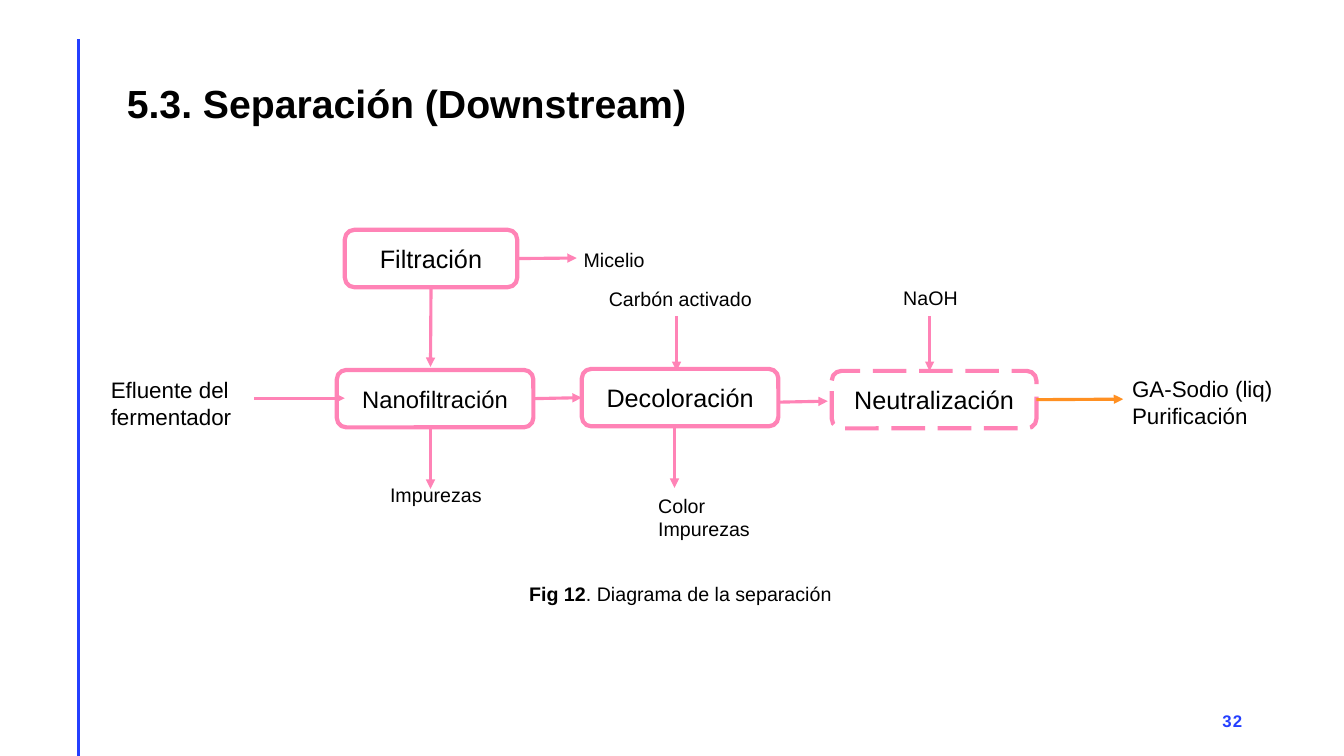
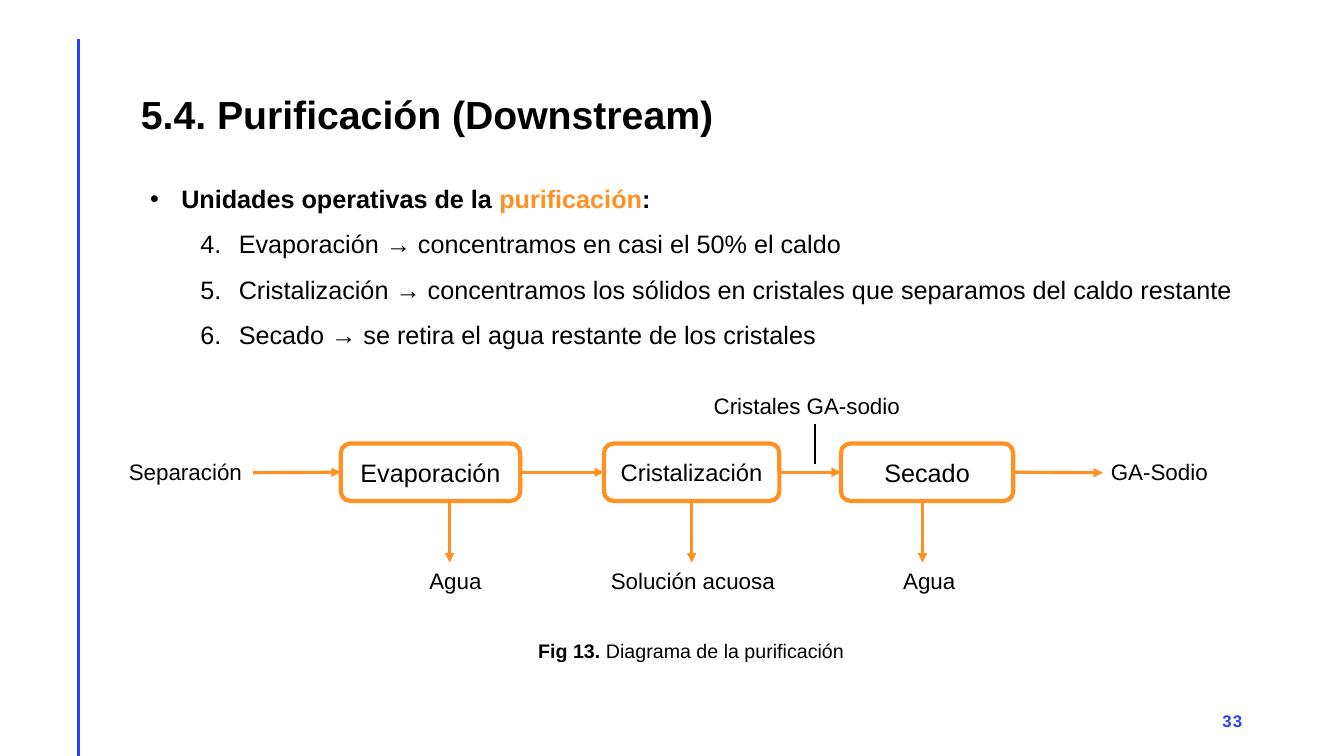
from dataclasses import dataclass

from lxml import etree
from pptx import Presentation
from pptx.dml.color import RGBColor
from pptx.enum import dml, shapes, text
from pptx.oxml import ns
from pptx.util import Inches, Pt

TOP, LEFT, BOTTOM, RIGHT = range(4)


@dataclass(frozen=True)
class Theme:
    font: str = "Arial"
    ink: str = "000000"
    paper: str = "FFFFFF"
    blue: str = "243FFF"
    pink: str = "FF83B6"
    orange: str = "FF9022"
    title: float = 28
    body: float = 18
    tight: float = 17
    label: float = 16
    note: float = 14
    number: float = 12
    rule_width: float = 2
    box_width: float = 3
    arrow_width: float = 2.25
    pointer_width: float = 1.5


THEME = Theme()


def rgb(value):
    return RGBColor.from_string(value)


def set_all(target, values):
    for name, value in values.items():
        setattr(target, name, value)


def add_child(parent, tag, **attributes):
    return etree.SubElement(parent, ns.qn(tag), attributes)


def add_span(para, words, size, color=THEME.ink, bold=False):
    span = para.add_run()
    span.text = words
    set_all(span.font, {"name": THEME.font, "size": Pt(size), "bold": bold})
    span.font.color.rgb = rgb(color)
    return span


def add_text(page, at, paragraphs, size, bold=False):
    """Add a text box; each paragraph is a string or a list of (words, format) spans."""
    frame = page.shapes.add_textbox(*map(Inches, at)).text_frame
    frame.word_wrap = True
    for index, spans in enumerate(paragraphs):
        para = frame.add_paragraph() if index else frame.paragraphs[0]
        if isinstance(spans, str):
            spans = [(spans, {"bold": bold})]
        for words, look in spans:
            add_span(para, words, size, **look)
    return frame


def add_labels(page, labels, size):
    for x, y, width, height, *lines in labels:
        add_text(page, (x, y, width, height), lines, size)


def add_caption(page, at, number, words):
    add_text(page, at, [[(number, {"bold": True}), (words, {})]], THEME.note)


def add_box(page, at, name, color, size=THEME.body, dash=None):
    box = page.shapes.add_shape(shapes.MSO_SHAPE.ROUNDED_RECTANGLE, *map(Inches, at))
    box.shadow.inherit = False
    box.fill.solid()
    box.fill.fore_color.rgb = rgb(THEME.paper)
    box.line.color.rgb = rgb(color)
    set_all(box.line, {"width": Pt(THEME.box_width), "dash_style": dash})
    set_all(box.text_frame, {"vertical_anchor": text.MSO_ANCHOR.MIDDLE,
                             "word_wrap": False})
    para = box.text_frame.paragraphs[0]
    para.alignment = text.PP_ALIGN.CENTER
    add_span(para, name, size)
    return box


def add_line(page, start, end, color, width):
    line = page.shapes.add_connector(
        shapes.MSO_CONNECTOR.STRAIGHT, *map(Inches, (*start, *end)))
    line.line.color.rgb = rgb(color)
    line.line.width = Pt(width)
    add_child(line._element.spPr, "a:effectLst")
    return line


def add_arrow(page, boxes, start, end, color):
    """Draw an arrow; an end is a point (x, y) or a joint (box name, side)."""
    def joint(place):
        return isinstance(place[0], str)

    points = [(0, 0) if joint(place) else place for place in (start, end)]
    arrow = add_line(page, *points, color, THEME.arrow_width)
    add_child(arrow.line._get_or_add_ln(), "a:tailEnd", type="triangle")
    for place, connect in ((start, arrow.begin_connect), (end, arrow.end_connect)):
        if joint(place):
            connect(boxes[place[0]], place[1])


def add_list_mark(para, margin, indent, mark=None, start=None):
    properties = para._p.get_or_add_pPr()
    properties.set("marL", str(Inches(margin)))
    properties.set("indent", str(Inches(indent)))
    if mark:
        add_child(properties, "a:buFont", typeface=THEME.font)
        add_child(properties, "a:buChar", char=mark)
    else:
        add_child(properties, "a:buFont", typeface="+mj-lt")
        add_child(properties, "a:buAutoNum", type="arabicPeriod", startAt=str(start))


def new_page(deck, number, title, title_at):
    page = deck.slides.add_slide(deck.slide_layouts[6])
    add_line(page, (0.78, 0.39), (0.78, 7.5), THEME.blue, THEME.rule_width)
    add_text(page, (*title_at, 7.26, 0.57), [title], THEME.title, bold=True)
    frame = add_text(page, (9.42, 6.95, 3, 0.4), [], THEME.number)
    frame.vertical_anchor = text.MSO_ANCHOR.MIDDLE
    para = frame.paragraphs[0]
    para.alignment = text.PP_ALIGN.RIGHT
    span = add_span(para, str(number), THEME.number, THEME.blue, True)
    span._r.get_or_add_rPr().set("spc", "100")
    return page


def add_separation_page(deck):
    page = new_page(deck, 32, "5.3. Separación (Downstream)", (1.16, 0.74))
    height = 0.57
    boxes = {
        name: add_box(page, (x, y, width, height), name, THEME.pink, size, dash)
        for name, x, y, width, size, dash in (
            ("Filtración", 3.42, 2.28, 1.71, THEME.body, None),
            ("Nanofiltración", 3.34, 3.67, 1.95, THEME.tight, None),
            ("Decoloración", 5.77, 3.66, 1.95, THEME.body, None),
            ("Neutralización", 8.25, 3.68, 2.03, THEME.body,
             dml.MSO_LINE.LONG_DASH),
        )
    }
    for start, end in (
        (("Filtración", BOTTOM), (4.27, 3.64)),
        (("Filtración", RIGHT), (5.72, 2.56)),
        ((2.52, 3.95), (3.42, 3.95)),
        (("Nanofiltración", RIGHT), ("Decoloración", LEFT)),
        ((7.72, 3.99), (8.21, 3.98)),
        ((6.71, 3.14), (6.71, 3.68)),
        ((9.22, 3.14), (9.22, 3.68)),
        ((4.27, 4.25), (4.27, 4.85)),
        ((6.69, 4.24), (6.69, 4.84)),
    ):
        add_arrow(page, boxes, start, end, THEME.pink)
    add_arrow(page, boxes, ("Neutralización", RIGHT), (11.14, 3.96), THEME.orange)
    add_labels(page, (
        (1, 3.68, 1.71, 0.64, "Efluente del fermentador"),
        (11.13, 3.67, 1.95, 0.64, "GA-Sodio (liq)", "Purificación"),
    ), THEME.label)
    add_labels(page, (
        (5.69, 2.41, 2.27, 0.34, "Micelio"),
        (5.94, 2.8, 2.27, 0.34, "Carbón activado"),
        (8.86, 2.79, 2.27, 0.34, "NaOH"),
        (3.77, 4.74, 1.62, 0.34, "Impurezas"),
        (6.43, 4.85, 1.43, 0.57, "Color", "Impurezas"),
    ), THEME.note)
    add_caption(page, (5.15, 5.72, 3.36, 0.34), "Fig 12", ". Diagrama de la separación")


def add_unit_list(page):
    heading = [
        ("Unidades operativas de la ", {"bold": True}),
        ("purificación", {"bold": True, "color": THEME.orange}),
        (":", {"bold": True}),
    ]
    frame = add_text(page, (1.39, 1.77, 11.54, 1.71), [
        heading,
        "Evaporación → concentramos en casi el 50% el caldo",
        "Cristalización → concentramos los sólidos en cristales"
        " que separamos del caldo restante",
        "Secado → se retira el agua restante de los cristales",
    ], THEME.body)
    first, *steps = frame.paragraphs
    add_list_mark(first, 0.31, -0.31, mark="•")
    for para in steps:
        set_all(para, {"level": 1, "line_spacing": 1.5})
        add_list_mark(para, 0.88, -0.38, start=4)


def add_purification_page(deck):
    page = new_page(deck, 33, "5.4. Purificación (Downstream)", (1.3, 0.85))
    add_unit_list(page)
    top, height = 4.4, 0.57
    middle, bottom, outlet = 4.69, top + height, 5.58
    boxes = {
        name: add_box(page, (x, top, width, height), name, THEME.orange, size)
        for name, x, width, size in (
            ("Evaporación", 3.38, 1.78, THEME.body),
            ("Cristalización", 5.99, 1.74, THEME.tight),
            ("Secado", 8.34, 1.71, THEME.body),
        )
    }
    for start, end in (
        ((2.51, middle), ("Evaporación", LEFT)),
        (("Evaporación", RIGHT), ("Cristalización", LEFT)),
        (("Cristalización", RIGHT), ("Secado", LEFT)),
        (("Secado", RIGHT), (10.94, middle)),
        ((4.46, bottom), (4.46, outlet)),
        (("Cristalización", BOTTOM), (6.86, outlet)),
        ((9.15, bottom), (9.15, outlet)),
    ):
        add_arrow(page, boxes, start, end, THEME.orange)
    add_line(page, (8.08, 4.21), (8.08, 4.6), THEME.ink, THEME.pointer_width)
    add_labels(page, (
        (1.18, 4.5, 1.43, 0.37, "Separación"),
        (10.92, 4.5, 1.5, 0.37, "GA-Sodio"),
        (6.98, 3.84, 2.21, 0.37, "Cristales GA-sodio"),
        (4.16, outlet, 1.53, 0.37, "Agua"),
        (5.96, outlet, 2.02, 0.37, "Solución acuosa"),
        (8.86, outlet, 1.53, 0.37, "Agua"),
    ), THEME.label)
    add_caption(page, (5.24, 6.29, 3.47, 0.34), "Fig 13.", " Diagrama de la purificación")


def main():
    deck = Presentation()
    set_all(deck, {"slide_width": Inches(13.33), "slide_height": Inches(7.5)})
    add_separation_page(deck)
    add_purification_page(deck)
    deck.save("out.pptx")


if __name__ == "__main__":
    main()
